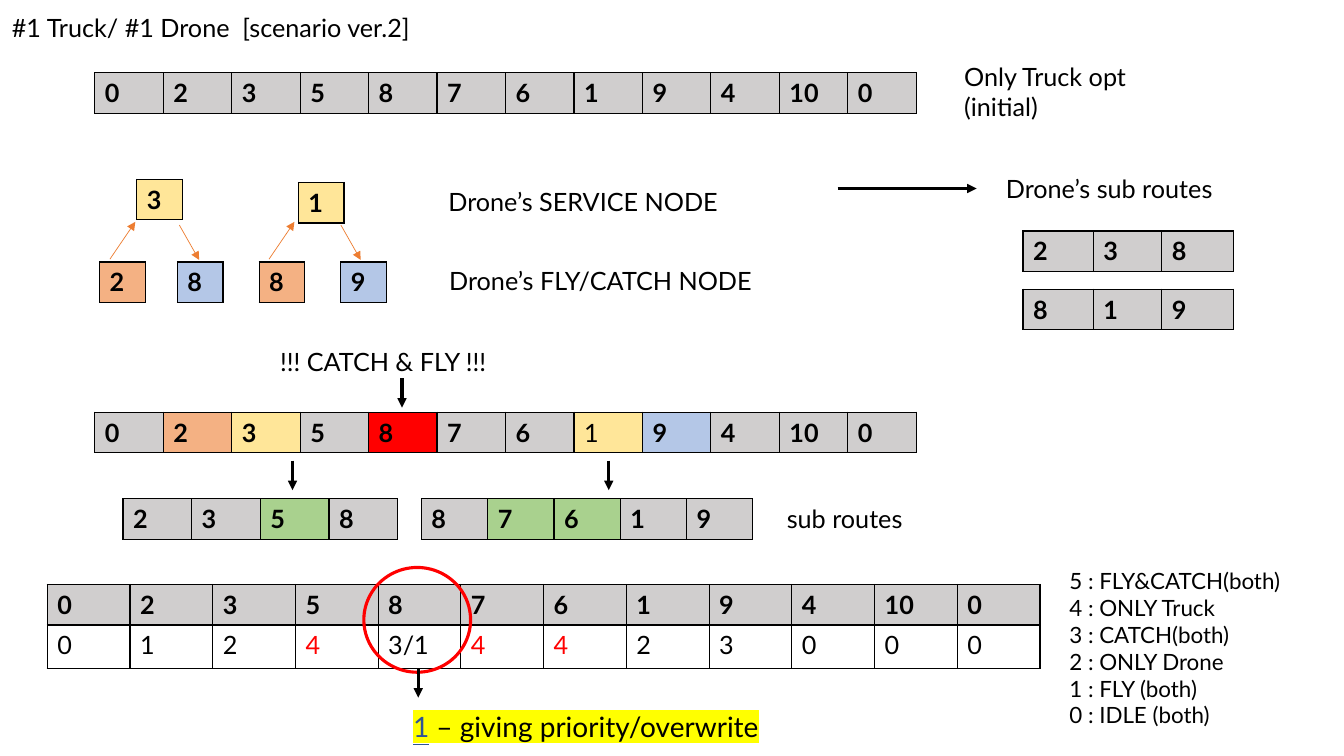
from dataclasses import dataclass, field

import pptx
import pptx.dml.color
import pptx.enum.dml
import pptx.enum.shapes
import pptx.enum.text
import pptx.oxml
import pptx.oxml.ns
import pptx.util
from lxml import etree
from pptx.util import Cm, Pt

FONT = "Lato"
COLORS = {
    "black": "000000", "gray": "D0CECE", "yellow": "FFE699", "orange": "F4B183",
    "blue": "B4C7E7", "green": "A9D18E", "red": "FF0000", "flight": "ED7D31",
    "navy": "2F5496", "highlight": "FFFF00",
}
ROUTE = "0 2 3 5 8 7 6 1 9 4 10 0"
ROW_H = 1.02
NODE_W = 1.15


@dataclass
class Label:
    x: float
    y: float
    w: float
    h: float
    lines: list[str]
    size: int = 18


@dataclass
class Strip:
    """A row of route nodes, with an optional row of status codes under it."""
    x: float
    y: float
    widths: list[float]
    nodes: str
    fills: dict[int, str] = field(default_factory=dict)
    base: str = "gray"
    plain: tuple[int, ...] = ()
    status: str = ""


@dataclass
class Arrow:
    x1: float
    y1: float
    x2: float
    y2: float
    color: str = "black"
    weight: float = 2.25


def rgb(name: str) -> pptx.dml.color.RGBColor:
    return pptx.dml.color.RGBColor.from_string(COLORS[name])


def style(font, size: int, color: str = "black", bold: bool = False) -> None:
    font.name, font.size, font.bold = FONT, Pt(size), bold
    font.color.rgb = rgb(color)


def add_label(s, label: Label):
    tf = s.shapes.add_textbox(Cm(label.x), Cm(label.y), Cm(label.w), Cm(label.h)).text_frame
    tf.word_wrap = True
    tf.auto_size = pptx.enum.text.MSO_AUTO_SIZE.SHAPE_TO_FIT_TEXT
    for i, line in enumerate(label.lines):
        p = tf.paragraphs[0] if i == 0 else tf.add_paragraph()
        p.text = line
        style(p.font, label.size)
    return tf


def add_borders(cell) -> None:
    tc_pr = cell._tc.get_or_add_tcPr()
    for i, side in enumerate(("lnL", "lnR", "lnT", "lnB")):
        tc_pr.insert(i, pptx.oxml.parse_xml(
            f'<a:{side} {pptx.oxml.ns.nsdecls("a")} w="12700"><a:solidFill>'
            f'<a:srgbClr val="{COLORS["black"]}"/></a:solidFill></a:{side}>'))


def fill_cell(cell, text: str, fill: str, color: str, bold: bool) -> None:
    p = cell.text_frame.paragraphs[0]
    p.text = text
    style(p.font, 18, color, bold)
    if fill:
        cell.fill.solid()
        cell.fill.fore_color.rgb = rgb(fill)
    else:
        cell.fill.background()
    add_borders(cell)


def add_strip(s, strip: Strip) -> None:
    heights = [ROW_H, 1.09] if strip.status else [ROW_H]
    table = s.shapes.add_table(
        len(heights), len(strip.widths), Cm(strip.x), Cm(strip.y),
        Cm(sum(strip.widths)), Cm(sum(heights))).table
    table.first_row = table.horz_banding = False
    for row, h in zip(table.rows, heights):
        row.height = Cm(h)
    for col, w in zip(table.columns, strip.widths):
        col.width = Cm(w)
    for i, node in enumerate(strip.nodes.split()):
        fill_cell(table.cell(0, i), node, strip.fills.get(i, strip.base),
                  "black", i not in strip.plain)
    for i, code in enumerate(strip.status.split()):
        fill_cell(table.cell(1, i), code, "", "red" if code == "4" else "black", False)


def add_arrow(s, arrow: Arrow) -> None:
    line = s.shapes.add_connector(
        pptx.enum.shapes.MSO_CONNECTOR.STRAIGHT,
        Cm(arrow.x1), Cm(arrow.y1), Cm(arrow.x2), Cm(arrow.y2))
    line.line.color.rgb = rgb(arrow.color)
    line.line.width = Pt(arrow.weight)
    qn = pptx.oxml.ns.qn
    etree.SubElement(line.line._get_or_add_ln(), qn("a:tailEnd"), type="triangle")
    etree.SubElement(line._element.spPr, qn("a:effectLst"))


def highlight(r) -> None:
    mark = pptx.oxml.parse_xml(
        f'<a:highlight {pptx.oxml.ns.nsdecls("a")}>'
        f'<a:srgbClr val="{COLORS["highlight"]}"/></a:highlight>')
    r._r.rPr.find(pptx.oxml.ns.qn("a:solidFill")).addnext(mark)


LABELS = [
    Label(0.05, 0.18, 12.5, ROW_H, ["#1 Truck/ #1 Drone  [scenario ver.2]"]),
    Label(24.05, 1.42, 5.49, 1.8, ["Only Truck opt", "(initial)"]),
    Label(25.1, 4.24, 6.58, ROW_H, ["Drone’s sub routes"]),
    Label(11.05, 4.57, 8.13, ROW_H, ["Drone’s SERVICE NODE"]),
    Label(11.07, 6.55, 9.25, ROW_H, ["Drone’s FLY/CATCH NODE"]),
    Label(6.81, 8.61, 6.65, ROW_H, ["!!! CATCH & FLY !!!"]),
    Label(19.58, 12.57, 3.91, ROW_H, ["sub routes"]),
    Label(26.7, 14.17, 7.82, 4.37, [
        "5 : FLY&CATCH(both)", "4 : ONLY Truck", "3 : CATCH(both)",
        "2 : ONLY Drone", "1 : FLY (both)", "0 : IDLE (both)"], 16),
]

DRONE_COLS = [1.77, 1.73, 1.8]
STRIPS = [
    # Truck route, then the same route with drone nodes marked
    Strip(2.39, 1.83, [20.7 / 12] * 12, ROUTE),
    Strip(2.39, 10.39, [20.7 / 12] * 12, ROUTE,
          {1: "orange", 2: "yellow", 4: "red", 7: "yellow", 8: "blue"}, plain=(7,)),
    # Drone sub routes
    Strip(25.78, 5.82, DRONE_COLS, "2 3 8"),
    Strip(25.78, 7.29, DRONE_COLS, "8 1 9"),
    # Sub routes of truck and drone
    Strip(3.1, 12.57, [1.73] * 4, "2 3 5 8", {2: "green"}),
    Strip(10.62, 12.57, [1.67] * 5, "8 7 6 1 9", {1: "green", 2: "green"}),
    # Status codes
    Strip(1.19, 14.73, [25.02 / 12] * 12, ROUTE, status="0 1 2 4 3/1 4 4 2 3 0 0 0"),
    # Single drone nodes
    *(Strip(x, y, [NODE_W], node, base=color) for x, y, node, color in (
        (3.45, 4.52, "3", "yellow"), (7.52, 4.6, "1", "yellow"),
        (2.51, 6.6, "2", "orange"), (4.47, 6.6, "8", "blue"),
        (6.53, 6.6, "8", "orange"), (8.59, 6.6, "9", "blue"))),
]

ARROWS = [
    Arrow(21.11, 4.75, 24.61, 4.75),
    # Flights up to and down from the service nodes
    *(Arrow(x, 6.53, x + 0.64, 5.59, "flight", 0.5) for x in (2.77, 6.78)),
    *(Arrow(x, 5.67, x + 0.5, 6.55, "flight", 0.5) for x in (4.52, 8.59)),
    # Short steps down between the strips
    *(Arrow(x, y, x, y + 0.74) for x, y in (
        (10.13, 9.53), (7.37, 11.61), (15.34, 11.61), (10.54, 16.84))),
]


def main() -> None:
    prs = pptx.Presentation()
    prs.slide_width, prs.slide_height = Cm(33.87), Cm(19.05)
    s = prs.slides.add_slide(prs.slide_layouts[6])

    for label in LABELS:
        add_label(s, label)
    for strip in STRIPS:
        add_strip(s, strip)

    # Ring around the shared node
    sp = s.shapes.add_shape(pptx.enum.shapes.MSO_SHAPE.OVAL,
                            Cm(9.17), Cm(14.3), Cm(2.69), Cm(2.64))
    sp.shadow.inherit = False
    sp.fill.background()
    sp.line.color.rgb = rgb("red")
    sp.line.width = Pt(2.25)

    for arrow in ARROWS:
        add_arrow(s, arrow)

    # Highlighted priority note
    p = add_label(s, Label(10.16, 17.75, 10.95, 1.12, [""], 20)).paragraphs[0]
    for text, color, underline in (("1", "navy", True), (" ", "navy", False),
                                   ("– giving priority/overwrite", "black", False)):
        r = p.add_run()
        r.text = text
        r.font.color.rgb = rgb(color)
        r.font.underline = underline
        highlight(r)

    prs.save("out.pptx")


if __name__ == "__main__":
    main()
